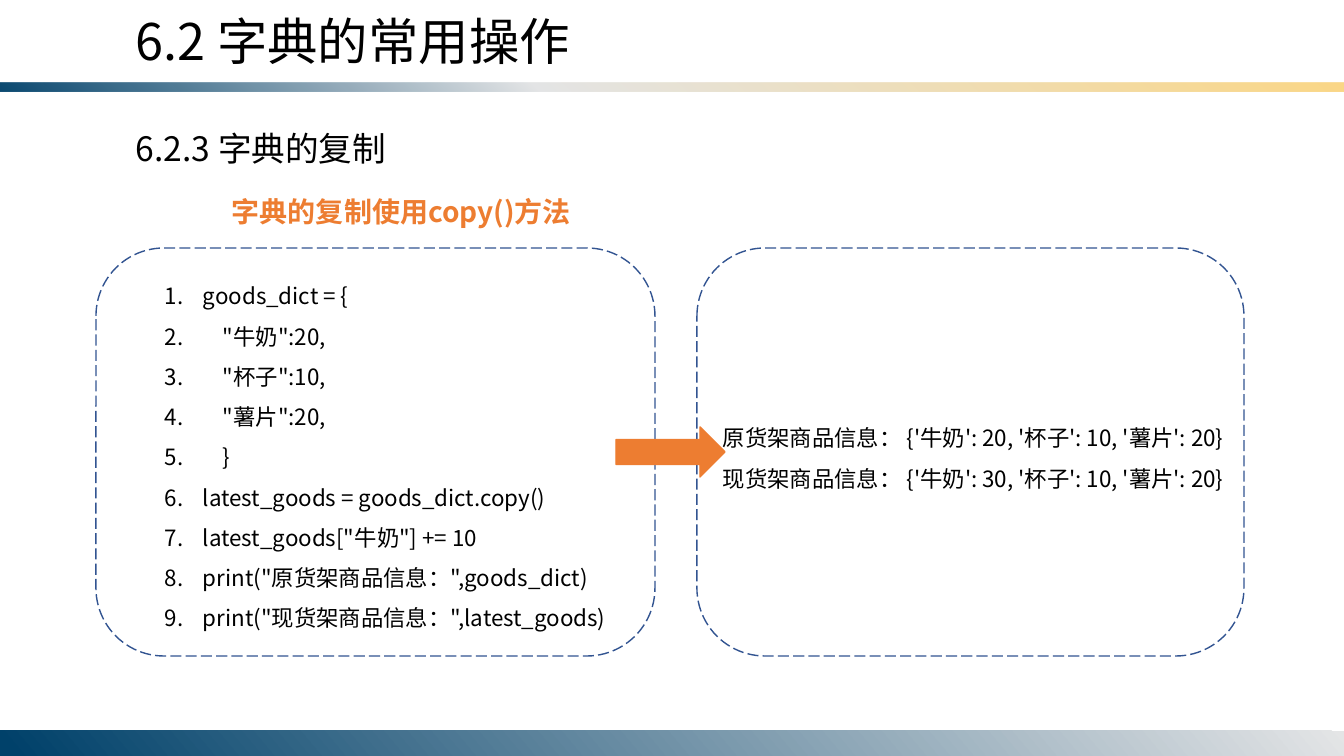
from lxml.etree import SubElement
from pptx import Presentation
from pptx.dml.color import RGBColor
from pptx.enum.dml import MSO_LINE
from pptx.enum.shapes import MSO_SHAPE
from pptx.enum.text import MSO_AUTO_SIZE
from pptx.oxml.ns import qn
from pptx.util import Emu, Pt

PX = 914400 / 100.8
WIDTH, HEIGHT = 1344, 756
FONT = "Noto Sans CJK SC"
NAVY, SILVER, YELLOW = "00416A", "E4E5E6", "FBD786"
BLACK, ORANGE, BLUE = "000000", "ED7D31", "325491"

CODE = [
    "goods_dict = {",
    '    "牛奶":20,',
    '    "杯子":10,',
    '    "薯片":20,',
    "    }",
    "latest_goods = goods_dict.copy()",
    'latest_goods["牛奶"] += 10',
    'print("原货架商品信息：",goods_dict)',
    'print("现货架商品信息：",latest_goods)',
]
OUTPUT = [
    "原货架商品信息： {'牛奶': 20, '杯子': 10, '薯片': 20}",
    "现货架商品信息： {'牛奶': 30, '杯子': 10, '薯片': 20}",
]


def px(length):
    return Emu(round(length * PX))


def color(value):
    return RGBColor.from_string(value)


def add_shape(slide, kind, box, fill=None, line=None, dash=None):
    shape = slide.shapes.add_shape(kind, *map(px, box))
    shape.shadow.inherit = False
    if fill:
        shape.fill.solid()
        shape.fill.fore_color.rgb = color(fill)
    else:
        shape.fill.background()
    if line:
        shape.line.color.rgb = color(line)
        shape.line.width = Pt(1)
        shape.line.dash_style = dash
    else:
        shape.line.fill.background()
    return shape


def add_text(slide, box, lines, size, ink=BLACK, bold=False, spacing=None,
             margin=0, indent=0, numbered=False):
    text_box = slide.shapes.add_textbox(*map(px, box))
    frame = text_box.text_frame
    frame.word_wrap = True
    frame.auto_size = MSO_AUTO_SIZE.SHAPE_TO_FIT_TEXT
    for index, line in enumerate(lines):
        paragraph = frame.paragraphs[0] if index == 0 else frame.add_paragraph()
        paragraph.line_spacing = spacing
        properties = paragraph._p.get_or_add_pPr()
        properties.set("marL", str(px(margin)))
        properties.set("indent", str(px(indent)))
        if numbered:
            SubElement(properties, qn("a:buFont"), typeface="+mj-lt")
            SubElement(properties, qn("a:buAutoNum"), type="arabicPeriod")
        run = paragraph.add_run()
        run.text = line
        run.font.size = Pt(size)
        run.font.bold = bold
        run.font.name = FONT
        run.font.color.rgb = color(ink)
        SubElement(run._r.get_or_add_rPr(), qn("a:ea"), typeface=FONT)


def add_gradient_bar(slide, box, stops, angle, flipped=False):
    bar = add_shape(slide, MSO_SHAPE.RECTANGLE, box)
    properties = bar._element.spPr
    if flipped:
        properties.find(qn("a:xfrm")).set("flipV", "1")
    no_fill = properties.find(qn("a:noFill"))
    gradient = SubElement(properties, qn("a:gradFill"), rotWithShape="1")
    properties.replace(no_fill, gradient)
    stop_list = SubElement(gradient, qn("a:gsLst"))
    for position, value, opacity in stops:
        stop = SubElement(stop_list, qn("a:gs"), pos=str(position * 1000))
        tint = SubElement(stop, qn("a:srgbClr"), val=value)
        if opacity < 100:
            SubElement(tint, qn("a:alpha"), val=str(opacity * 1000))
    SubElement(gradient, qn("a:lin"), ang=str(angle * 60000), scaled="0")


def add_frame(slide):
    # Bar under the title and bar along the bottom edge
    add_gradient_bar(slide, (0, 83, WIDTH, 9),
                     [(0, NAVY, 95), (40, SILVER, 100), (100, YELLOW, 100)],
                     50, flipped=True)
    add_gradient_bar(slide, (0, HEIGHT - 25, WIDTH, 25),
                     [(0, SILVER, 100), (99, NAVY, 100)], 140)


def add_headings(slide, box):
    left, top, width = box
    add_text(slide, (left, top, width, 71), ["6.2 字典的常用操作"], 36)
    add_text(slide, (left, top + 118, width, 50), ["6.2.3 字典的复制"], 24)
    add_text(slide, (left + 46, top + 168, width, 60),
             ["字典的复制使用copy()方法"], 20, ORANGE, bold=True,
             spacing=1.5, indent=50)


def add_panel(slide, box, lines, text_box, **layout):
    # Dashed outline with text placed from its top left corner
    left, top, _, _ = box
    dx, dy, width, height = text_box
    add_text(slide, (left + dx, top + dy, width, height), lines, 16,
             spacing=1.5, **layout)
    add_shape(slide, MSO_SHAPE.ROUNDED_RECTANGLE, box, line=BLUE,
              dash=MSO_LINE.LONG_DASH)


def main():
    presentation = Presentation()
    presentation.slide_width, presentation.slide_height = px(WIDTH), px(HEIGHT)
    slide = presentation.slides.add_slide(presentation.slide_layouts[6])

    add_frame(slide)
    add_headings(slide, (126, 5, 1000))

    # Code on the left, its printed result on the right
    add_panel(slide, (96, 248, 559, 408), CODE, (59, 16, 553, 376),
              margin=38, indent=-38, numbered=True)
    add_panel(slide, (697, 248, 547, 408), OUTPUT, (16, 158, 532, 92))
    add_shape(slide, MSO_SHAPE.RIGHT_ARROW, (616, 427, 109, 50), ORANGE, ORANGE)

    presentation.save("out.pptx")


if __name__ == "__main__":
    main()
